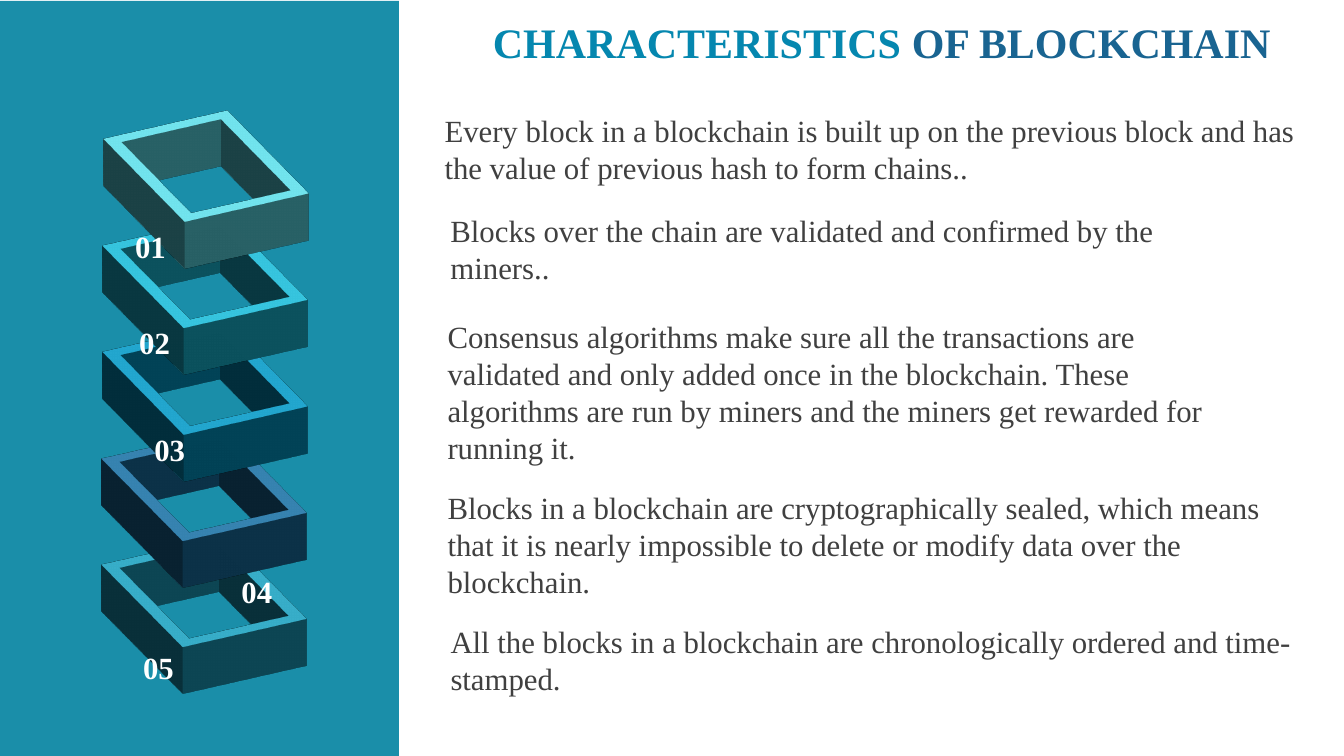
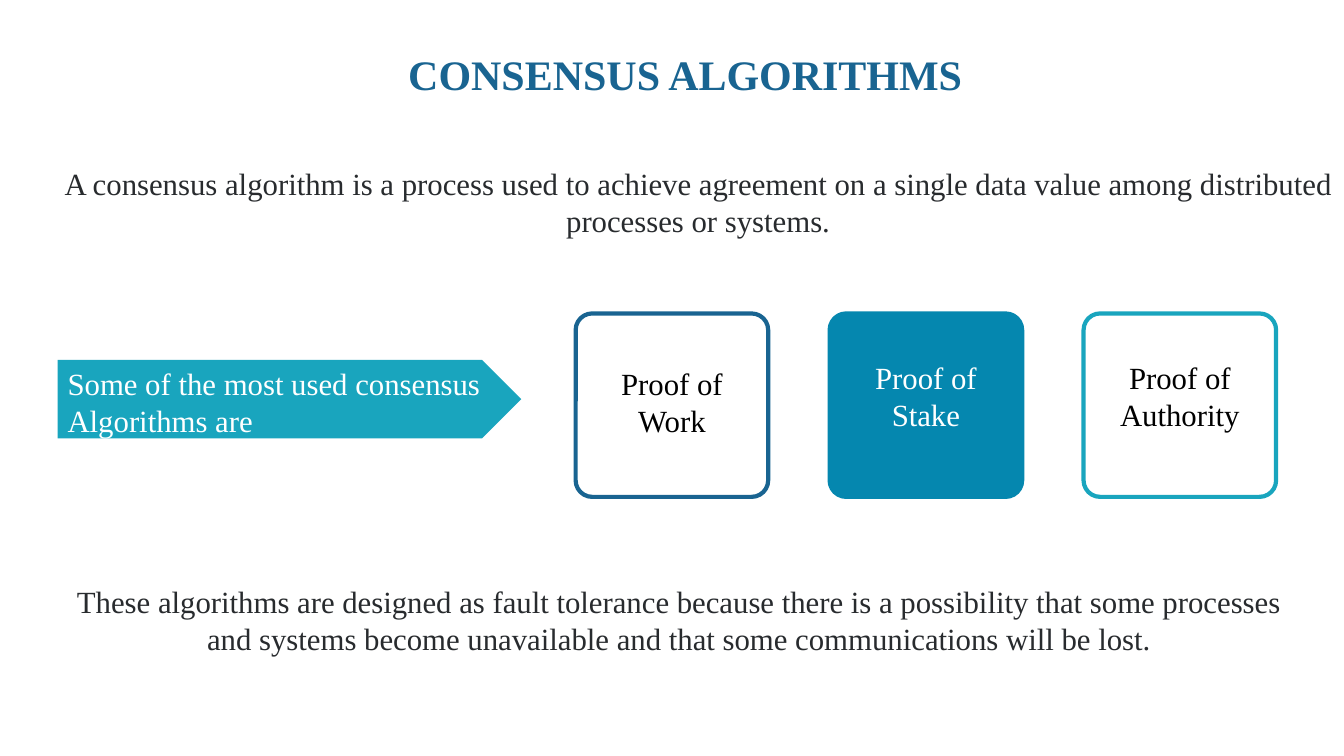
from lxml import etree
from pptx import Presentation
from pptx.dml.color import RGBColor
from pptx.enum.shapes import MSO_SHAPE
from pptx.enum.text import MSO_ANCHOR, MSO_AUTO_SIZE, PP_ALIGN
from pptx.oxml.ns import qn
from pptx.util import Pt

RECT, FRAME = MSO_SHAPE.RECTANGLE, MSO_SHAPE.FRAME
CARD, ARROW = MSO_SHAPE.ROUNDED_RECTANGLE, MSO_SHAPE.PENTAGON
TOP, MIDDLE = MSO_ANCHOR.TOP, MSO_ANCHOR.MIDDLE
LEFT, CENTER = PP_ALIGN.LEFT, PP_ALIGN.CENTER
NO_FIT = MSO_AUTO_SIZE.NONE
TITLE_ONLY = 5
FONT = "Times New Roman"
TITLE_SIZE, BODY_SIZE = 30, 22

WHITE = RGBColor(0xFF, 0xFF, 0xFF)
BLACK = RGBColor(0, 0, 0)
PANEL = RGBColor(0x1A, 0x8E, 0xA9)
NAVY = RGBColor(0x19, 0x64, 0x91)
BLUE = RGBColor(0x05, 0x87, 0xAF)
TEAL = RGBColor(0x19, 0xA5, 0xBE)
AQUA = RGBColor(0x53, 0xC3, 0xCD)
GREY = RGBColor(0x40, 0x40, 0x40)
INK = RGBColor(0x28, 0x2B, 0x2E)

BLOCK_COLORS = [AQUA, TEAL, BLUE, NAVY, PANEL]
BLOCK_LEFT, BLOCK_TOP, BLOCK_W, BLOCK_H = 97.9, 51.1, 97.9, 135.4
BLOCK_SHIFT, BLOCK_STEP = -0.3, 76
BLOCK_DEPTH = 38
CAMERA_ANGLES = {"lat": 307.6, "lon": 322, "rev": 44.6}
ANGLE_UNIT = 60000

NUMBERS = [
    ("01", 96.5, 162.7),
    ("02", 99.4, 231.1),
    ("03", 110.2, 307.8),
    ("04", 172.5, 409),
    ("05", 102.2, 463.7),
]
CHARACTERISTICS = [
    ("Every block in a blockchain is built up on the previous block and has "
     "the value of previous hash to form chains..", 317.5, 79.9, 608, 53),
    ("Blocks over the chain are validated and confirmed by the miners..",
     321.8, 151.2, 551, 53),
    ("Consensus algorithms make sure all the transactions are validated and "
     "only added once in the blockchain. These algorithms are run by miners "
     "and the miners get rewarded for running it.", 319.7, 226.8, 576, 107),
    ("Blocks in a blockchain are cryptographically sealed, which means that it "
     "is nearly impossible to delete or modify data over the blockchain.",
     319.7, 349.2, 588, 80),
    ("All the blocks in a blockchain are chronologically ordered and "
     "time-stamped.", 321.8, 445, 638, 53),
]

STATEMENTS = [
    ("A consensus algorithm is a process used to achieve agreement on a single "
     "data value among distributed processes or systems.", 28.8, 114.1, 939.6, 60.5),
    ("These algorithms are designed as fault tolerance because there is a "
     "possibility that some processes and systems become unavailable and that "
     "some communications will be lost.", 41, 412.6, 887.8, 60.5),
]
ARROW_TEXT = "Some of the most used consensus Algorithms are"
CARDS = [
    ("Proof of Work", None, NAVY, BLACK, 33.5),
    ("Proof of Stake", BLUE, BLUE, WHITE, 28.8),
    ("Proof of Authority", None, TEAL, BLACK, 28.8),
]
CARD_LEFT, CARD_TOP, CARD_W, CARD_H, CARD_STEP = 411.2, 223.9, 137.5, 131, 181.4


def set_frame(tf, margins, anchor=TOP):
    tf.word_wrap = True
    tf.auto_size = NO_FIT
    tf.vertical_anchor = anchor
    tf.margin_left, tf.margin_top, tf.margin_right, tf.margin_bottom = map(Pt, margins)


def set_font(r, size, color, bold=False):
    r.font.name = FONT
    r.font.size = Pt(size)
    r.font.bold = bold
    r.font.color.rgb = color


def write(sp, text, color, margins=(0, 0, 0, 0), align=LEFT, bold=False):
    tf = sp.text_frame
    set_frame(tf, margins)
    tf.text = text
    p = tf.paragraphs[0]
    p.alignment = align
    set_font(p.runs[0], BODY_SIZE, color, bold)


def add_text(s, text, box, color, **style):
    write(s.shapes.add_textbox(*map(Pt, box)), text, color, **style)


def add_shape(parent, kind, box, fill, line=None):
    sp = parent.shapes.add_shape(kind, *map(Pt, box))
    sp.shadow.inherit = False
    if fill is None:
        sp.fill.background()
    else:
        sp.fill.solid()
        sp.fill.fore_color.rgb = fill
    if line is None:
        sp.line.fill.background()
    else:
        sp.line.color.rgb = line
        sp.line.width = Pt(3)
    return sp


def add_title_slide(prs, parts, box, margins):
    s = prs.slides.add_slide(prs.slide_layouts[TITLE_ONLY])
    title = s.shapes.title
    title.left, title.top, title.width, title.height = map(Pt, box)
    set_frame(title.text_frame, margins, MIDDLE)
    p = title.text_frame.paragraphs[0]
    p.alignment = LEFT
    p.line_spacing = 0.9
    for text, color in parts:
        r = p.add_run()
        r.text = text
        set_font(r, TITLE_SIZE, color, True)
    return s


def extrude(sp):
    properties = sp.element.spPr
    scene = etree.SubElement(properties, qn("a:scene3d"))
    camera = etree.SubElement(scene, qn("a:camera"), prst="isometricTopUp")
    angles = {name: str(round(value * ANGLE_UNIT)) for name, value in CAMERA_ANGLES.items()}
    etree.SubElement(camera, qn("a:rot"), angles)
    etree.SubElement(scene, qn("a:lightRig"), rig="threePt", dir="t")
    etree.SubElement(properties, qn("a:sp3d"), extrusionH=str(Pt(BLOCK_DEPTH)))


def add_blocks(s):
    group = s.shapes.add_group_shape()
    for i, color in reversed(list(enumerate(BLOCK_COLORS))):
        box = (BLOCK_LEFT + i * BLOCK_SHIFT, BLOCK_TOP + i * BLOCK_STEP, BLOCK_W, BLOCK_H)
        block = add_shape(group, FRAME, box, color)
        block.adjustments[0] = 0.1
        extrude(block)


def build_characteristics(prs):
    parts = [("CHARACTERISTICS ", BLUE), ("OF BLOCKCHAIN", NAVY)]
    s = add_title_slide(prs, parts, (352.1, -10.8, 607.7, 74.2), (0, 20.2, 0, 8.6))
    add_shape(s, RECT, (0, 0.7, 285, 539.3), PANEL)
    add_blocks(s)
    for text, x, y in NUMBERS:
        add_text(s, text, (x, y, 73, 27), WHITE, bold=True)
    for text, *box in CHARACTERISTICS:
        add_text(s, text, box, GREY)


def build_consensus(prs):
    inset = (7.2, 3.6, 7.2, 3.6)
    s = add_title_slide(prs, [("CONSENSUS ALGORITHMS", NAVY)],
                        (284.4, 20.2, 486.7, 69.8), inset)
    for text, *box in STATEMENTS:
        add_text(s, text, box, INK, margins=inset, align=CENTER)
    arrow = add_shape(s, ARROW, (41.2, 257, 331.2, 56.2), TEAL)
    write(arrow, ARROW_TEXT, WHITE, margins=(7.2, 3.6, 0, 0))
    for i, (text, fill, line, color, drop) in enumerate(CARDS):
        box = (CARD_LEFT + i * CARD_STEP, CARD_TOP, CARD_W, CARD_H)
        card = add_shape(s, CARD, box, fill, line)
        card.adjustments[0] = 0.09
        write(card, text, color, margins=(16, drop, 16, 0), align=CENTER)


def main():
    prs = Presentation()
    prs.slide_width, prs.slide_height = Pt(960), Pt(540)
    build_characteristics(prs)
    build_consensus(prs)
    prs.save("out.pptx")


if __name__ == "__main__":
    main()
